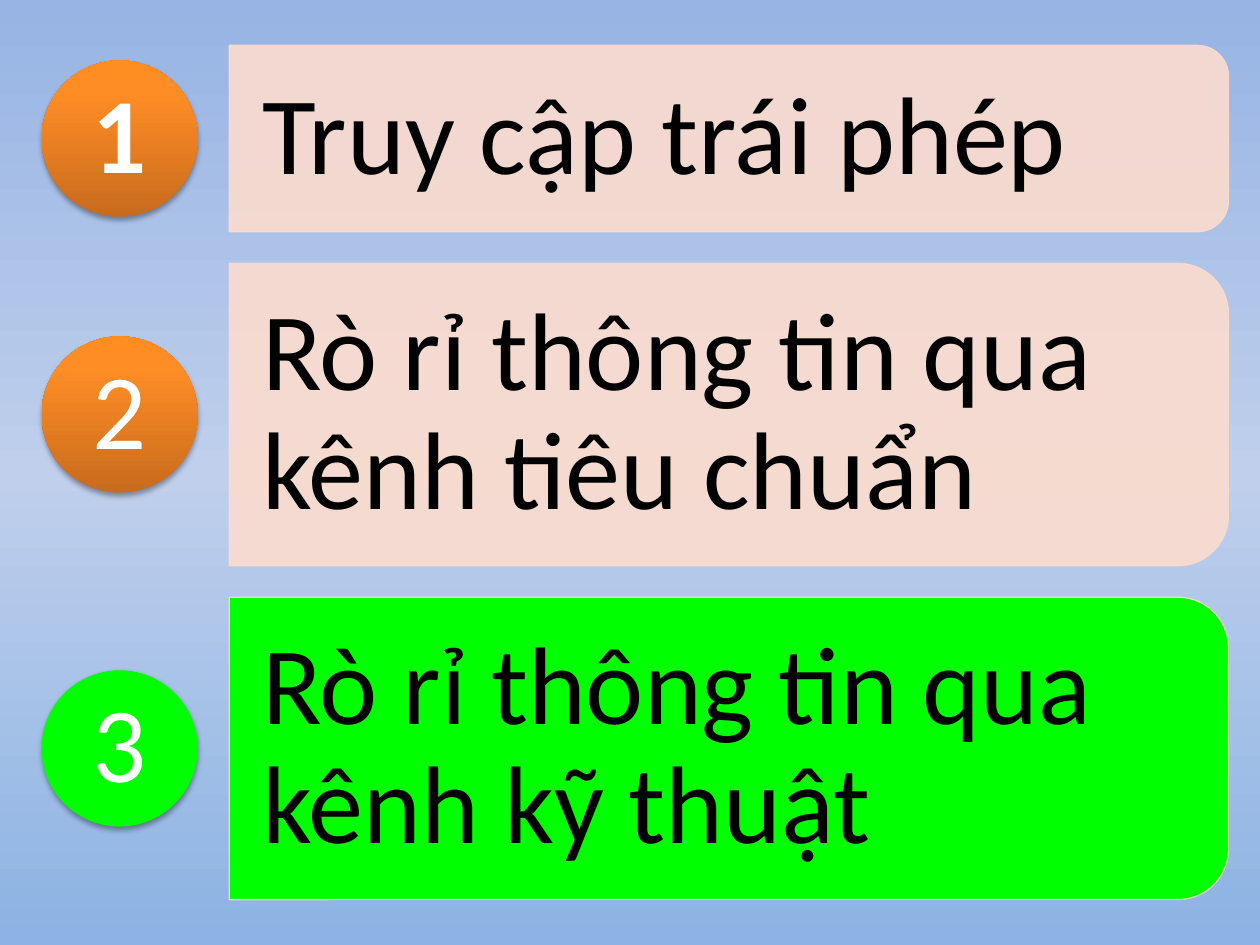
from lxml import etree
from pptx import Presentation
from pptx.dml.color import RGBColor
from pptx.enum.shapes import MSO_SHAPE
from pptx.enum.text import MSO_ANCHOR, PP_ALIGN
from pptx.oxml.ns import qn
from pptx.util import Inches, Pt

PANEL = MSO_SHAPE.ROUND_2_SAME_RECTANGLE
DISC = MSO_SHAPE.OVAL
MIDDLE = MSO_ANCHOR.MIDDLE
LEFT, CENTER = PP_ALIGN.LEFT, PP_ALIGN.CENTER

THEME = {
    "font": "Calibri",
    "body": 63,
    "digit": 61,
    "ink": "000000",
    "white": "FFFFFF",
    "peach": "FBDCCE",
    "green": "00FF00",
    "sky": [(0, "97B4E4"), (50, "BFCFEC"), (100, "8CB3E3")],
    "orange": [(0, "C86B1D"), (80, "FF8D25"), (100, "FF8D22")],
}
ROWS = [
    ("Truy cập trái phép", 1.48, False),
    ("Rò rỉ thông tin qua kênh tiêu chuẩn", 2.4, False),
    ("Rò rỉ thông tin qua kênh kỹ thuật", 2.4, True),
]
TOP, GAP = 0.36, 0.25
SIDE, WIDE = 1.82, 7.93
EDGE, SIZE = 0.33, 1.24


def apply(item, values):
    """Set each named attribute of an item."""
    for name, value in values.items():
        setattr(item, name, value)


def add(node, tag, **values):
    """Append a drawing element with the given attributes."""
    child = etree.SubElement(node, qn(tag))
    for name, value in values.items():
        child.set(name, str(value))
    return child


def tint(node, color, alpha):
    """Append a colour with an opacity in percent."""
    add(add(node, "a:srgbClr", val=color), "a:alpha", val=alpha * 1000)


def blend(fill, root, stops, angle):
    """Give a fill a linear gradient with any number of stops."""
    fill.gradient()
    fill.gradient_angle = angle
    rows = root.find(".//" + qn("a:gsLst"))
    for old in list(rows):
        rows.remove(old)
    for place, color in stops:
        add(add(rows, "a:gs", pos=place * 1000), "a:srgbClr", val=color)


def paint(fill, color):
    """Make a fill solid."""
    fill.solid()
    fill.fore_color.rgb = RGBColor.from_string(color)


def fade(shape, where, alpha):
    """Set the opacity of a solid colour in a shape."""
    color = shape.element.spPr.find(where + qn("a:solidFill") + "/" + qn("a:srgbClr"))
    add(color, "a:alpha", val=alpha * 1000)


def write(shape, text, inset, align, **style):
    """Write one formatted paragraph in a shape."""
    across, down = map(Inches, inset)
    frame = shape.text_frame
    apply(frame, {
        "word_wrap": True, "vertical_anchor": MIDDLE,
        "margin_left": across, "margin_right": across,
        "margin_top": down, "margin_bottom": down,
    })
    para = frame.paragraphs[0]
    apply(para, {"alignment": align, "line_spacing": 0.9})
    run = para.add_run()
    run.text = text
    color = style.pop("color")
    apply(run.font, {"name": THEME["font"], **style})
    run.font.color.rgb = RGBColor.from_string(color)


def panel(slide, top, high, text, active):
    """Draw a panel rounded on its right side, with its text."""
    mid = top + high / 2
    shape = slide.shapes.add_shape(
        PANEL, Inches(SIDE + (WIDE - high) / 2), Inches(mid - WIDE / 2),
        Inches(high), Inches(WIDE))
    shape.rotation = 90
    shape.shadow.inherit = False
    shape.adjustments[0], shape.adjustments[1] = 0.167, 0
    paint(shape.fill, THEME["green" if active else "peach"])
    paint(shape.line.fill, THEME["peach"])
    shape.line.width = Pt(0.75)
    if not active:
        fade(shape, "", 90)
    fade(shape, qn("a:ln") + "/", 90)
    box = slide.shapes.add_textbox(
        Inches(SIDE), Inches(top + high * 0.05),
        Inches(WIDE - high * 0.05), Inches(high * 0.9))
    write(box, text, (0.26, 0.17), LEFT, size=Pt(THEME["body"]), color=THEME["ink"])


def badge(slide, mid, number, active):
    """Draw a numbered disc with a soft shadow."""
    shape = slide.shapes.add_shape(
        DISC, Inches(EDGE), Inches(mid - SIZE / 2), Inches(SIZE), Inches(SIZE))
    if active:
        paint(shape.fill, THEME["green"])
    else:
        blend(shape.fill, shape.element, THEME["orange"], 90)
    shape.line.fill.background()
    shape.shadow.inherit = False
    glow = add(shape.element.spPr.find(qn("a:effectLst")), "a:outerShdw",
               blurRad=Pt(3.1), dist=Pt(1.8), dir=90 * 60000, rotWithShape=0)
    tint(glow, THEME["ink"], 35)
    write(shape, str(number), (0, 0), CENTER, size=Pt(THEME["digit"]),
          color=THEME["white"], bold=number == 1)


def main():
    """Build the slide of three numbered panels."""
    deck = Presentation()
    apply(deck, {"slide_width": Inches(10), "slide_height": Inches(7.5)})
    slide = deck.slides.add_slide(deck.slide_layouts[6])
    blend(slide.background.fill, slide.element, THEME["sky"], 270)
    top = TOP
    for number, (text, high, active) in enumerate(ROWS, 1):
        panel(slide, top, high, text, active)
        badge(slide, top + high / 2, number, active)
        top += high + GAP
    deck.save("out.pptx")


if __name__ == "__main__":
    main()
